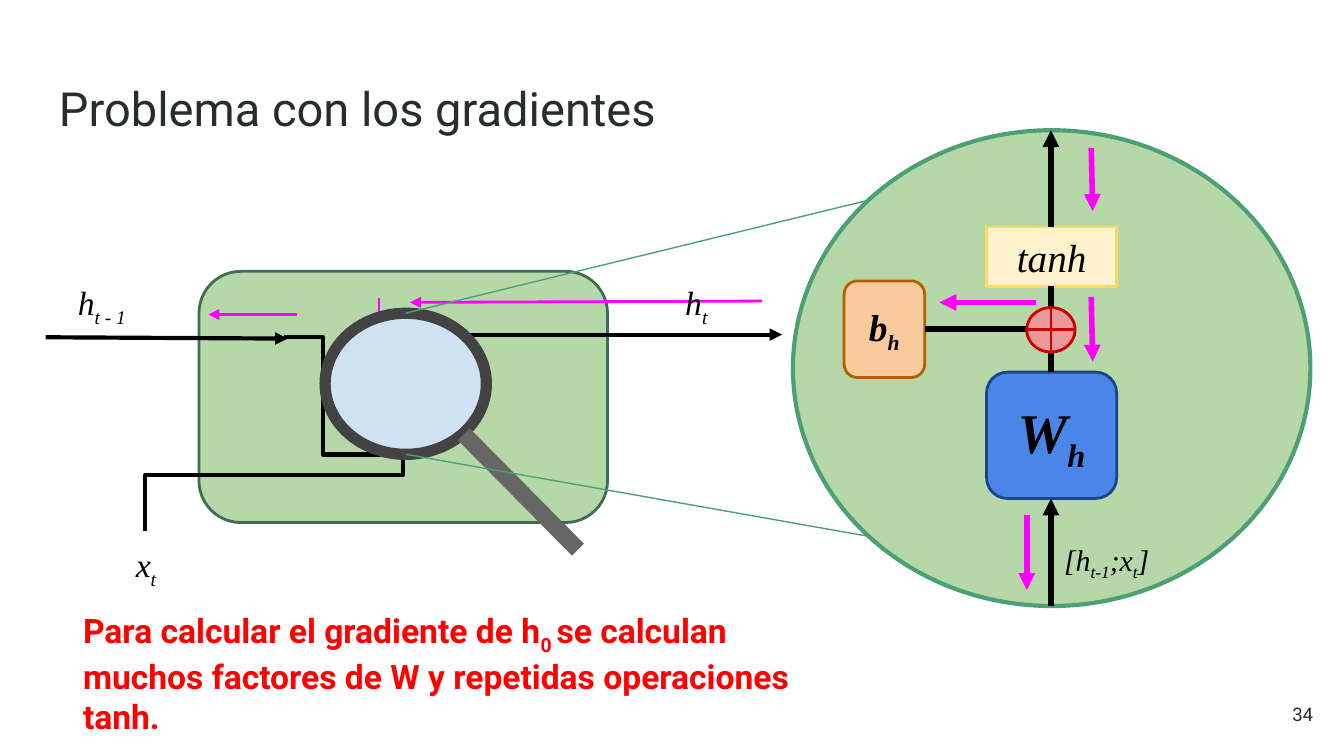
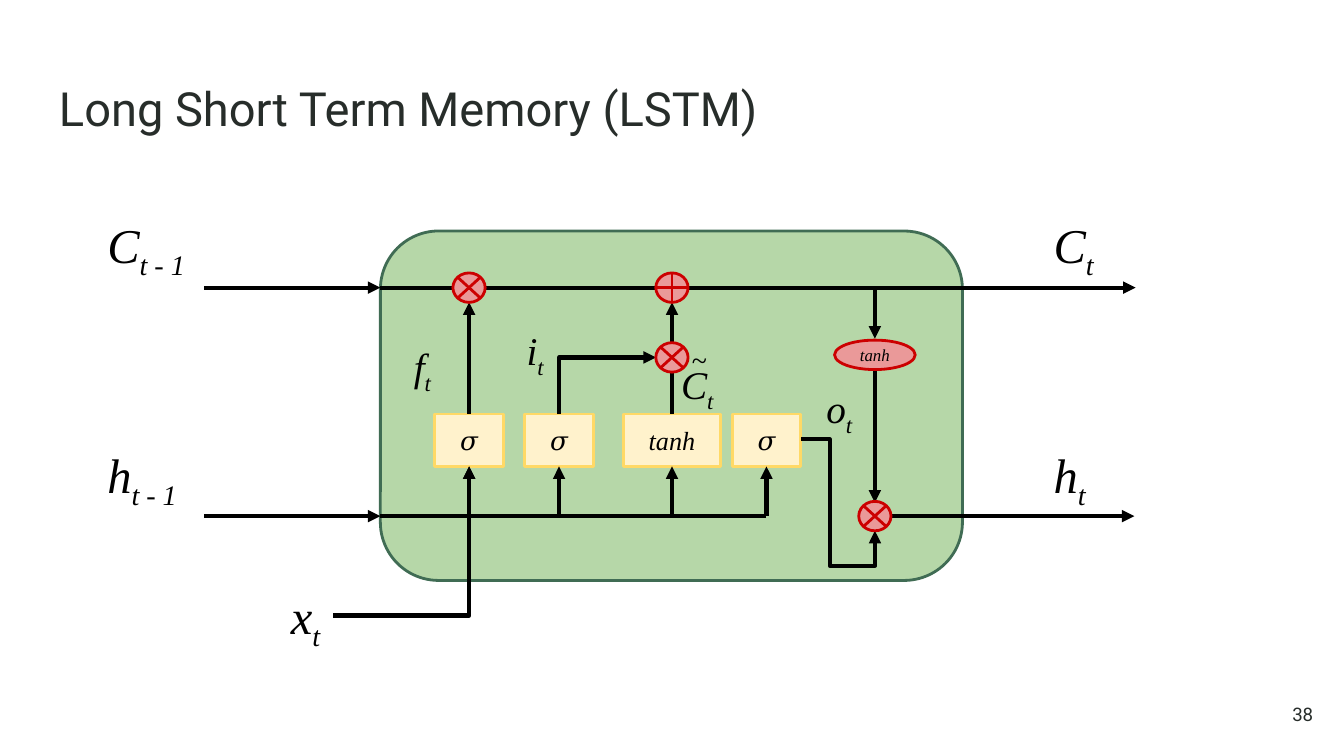
from lxml.etree import SubElement
from pptx import Presentation
from pptx.dml.color import RGBColor
from pptx.enum.shapes import MSO_CONNECTOR as Link, MSO_SHAPE as Form
from pptx.enum.text import MSO_ANCHOR as Anchor, PP_ALIGN as Align
from pptx.oxml.ns import qn
from pptx.util import Pt

# Colours
BLACK = RGBColor(0x00, 0x00, 0x00)
INK = RGBColor(0x27, 0x2D, 0x2A)
RED = RGBColor(0xFF, 0x00, 0x00)
MAGENTA = RGBColor(0xFF, 0x00, 0xFF)
CELL_FILL = RGBColor(0xB6, 0xD7, 0xA8)
CELL_LINE = RGBColor(0x40, 0x6C, 0x54)
ZOOM_LINE = RGBColor(0x4B, 0xA1, 0x73)
GATE_FILL = RGBColor(0xFF, 0xF2, 0xCC)
GATE_LINE = RGBColor(0xFF, 0xD9, 0x66)
NODE_FILL = RGBColor(0xEA, 0x99, 0x99)
NODE_LINE = RGBColor(0xCC, 0x00, 0x00)
WEIGHT_FILL = RGBColor(0x4A, 0x86, 0xE8)
WEIGHT_LINE = RGBColor(0x1C, 0x45, 0x87)
BIAS_FILL = RGBColor(0xF9, 0xCB, 0x9C)
BIAS_LINE = RGBColor(0xB4, 0x5F, 0x06)
LENS_FILL = RGBColor(0xCF, 0xE2, 0xF3)
LENS_LINE = RGBColor(0x43, 0x43, 0x43)
HANDLE = RGBColor(0x66, 0x66, 0x66)

SANS, SERIF = "Roboto", "Times New Roman"
INSET = 7.2


# Text
def write(shape, text, *, size, font=SERIF, color=BLACK, bold=False,
          italic=True, align=Align.LEFT, anchor=Anchor.TOP, wrap=True):
    """Fill a shape with text; parts between underscores are subscripts."""
    frame = shape.text_frame
    frame.word_wrap = wrap
    frame.vertical_anchor = anchor
    frame.margin_left = frame.margin_right = Pt(INSET)
    frame.margin_top = frame.margin_bottom = Pt(INSET)
    para = frame.paragraphs[0]
    para.alignment = align
    for index, part in enumerate(text.split("_")):
        if not part:
            continue
        span = para.add_run()
        span.text = part
        span.font.name = font
        span.font.size = Pt(size)
        span.font.bold = bold
        span.font.italic = italic
        span.font.color.rgb = color
        if index % 2:
            span.font._element.set("baseline", "-25000")


def label(page, area, text, **style):
    box = page.shapes.add_textbox(*map(Pt, area))
    write(box, text, **style)


# Shapes
def block(page, form, area, fill, line, width=1.5, text=None, **style):
    shape = page.shapes.add_shape(form, *map(Pt, area))
    shape.shadow.inherit = False
    shape.fill.solid()
    shape.fill.fore_color.rgb = fill
    shape.line.color.rgb = line
    shape.line.width = Pt(width)
    if text:
        write(shape, text, **{"align": Align.CENTER, "anchor": Anchor.MIDDLE, **style})


def gate(page, area, text, size):
    block(page, Form.RECTANGLE, area, GATE_FILL, GATE_LINE, text=text, size=size)


def node(page, form, center, width=17.3, height=15.8, **text):
    x, y = center
    block(page, form, (x - width / 2, y - height / 2, width, height),
          NODE_FILL, NODE_LINE, **text)


def cell(page, area):
    block(page, Form.ROUNDED_RECTANGLE, area, CELL_FILL, CELL_LINE)


# Connectors
def connect(page, start, end, color=BLACK, width=2.25, arrow=True, kind=Link.STRAIGHT):
    link = page.shapes.add_connector(kind, *map(Pt, (*start, *end)))
    link.line.color.rgb = color
    link.line.width = Pt(width)
    if arrow:
        SubElement(link.line._get_or_add_ln(), qn("a:tailEnd"), type="triangle")
    SubElement(link.element.spPr, qn("a:effectLst"))
    return link


def elbow(page, start, end, bends=(), rising=False):
    """Bent arrow; rising ones leave upwards and then turn right."""
    if rising:
        (x1, y1), (x2, y2) = start, end
        mid_x, mid_y = (x1 + x2) / 2, (y1 + y2) / 2
        half_w, half_h = abs(y2 - y1) / 2, abs(x2 - x1) / 2
        start = mid_x - half_w, mid_y - half_h
        end = mid_x + half_w, mid_y + half_h
    link = connect(page, start, end, kind=Link.ELBOW)
    properties = link.element.spPr
    if rising:
        properties.find(qn("a:xfrm")).set("rot", str(270 * 60000))
    geometry = properties.find(qn("a:prstGeom"))
    geometry.set("prst", f"bentConnector{len(bends) + 2}")
    guides = geometry.find(qn("a:avLst"))
    if guides is None:
        guides = SubElement(geometry, qn("a:avLst"))
    for number, bend in enumerate(bends, 1):
        SubElement(guides, qn("a:gd"), name=f"adj{number}" if len(bends) > 1 else "adj1",
                   fmla=f"val {round(bend * 100000)}")


# Shared page furniture
def new_page(deck, title, number):
    page = deck.slides.add_slide(deck.slide_layouts[6])
    style = {"font": SANS, "color": INK, "italic": False}
    label(page, (24.5, 35.3, 671, 45.4), title, size=25.2, **style)
    label(page, (667.4, 367.2, 43.2, 31), number, size=10,
          align=Align.RIGHT, anchor=Anchor.MIDDLE, **style)
    return page


def gradient_page(deck):
    page = new_page(deck, "Problema con los gradientes", "34")

    # Recurrent cell with its inputs and output
    cell(page, (106.6, 145.4, 218.9, 134.6))
    connect(page, (24.5, 180.7), (154.1, 181.4))
    label(page, (34.6, 144, 56.9, 35.3), "h_t - 1", size=18)
    label(page, (64.8, 284.4, 25.9, 31), "x_t", size=18, align=Align.RIGHT)
    elbow(page, (77.8, 284.4), (216, 224.6), (0.5,), rising=True)
    elbow(page, (151.9, 180.7), (216, 224.6), (0.33, 1.43))
    elbow(page, (216, 199.4), (419, 179.3), (0.002,))

    # Gradient flow through the cell
    for start, end in (((408.2, 161.3), (219.6, 162)),
                       ((203, 159.8), (203, 191.5)),
                       ((159.1, 168.5), (111.6, 168.5))):
        connect(page, start, end, MAGENTA, 1.5)

    # Magnifying glass and zoomed circle
    block(page, Form.OVAL, (174.2, 167.8, 86.4, 75.6), LENS_FILL, LENS_LINE, 6)
    connect(page, (248.4, 232.6), (309.6, 294.5), HANDLE, 9, arrow=False)
    for lens_y, circle_y in ((167.8, 107.3), (243.4, 287.3)):
        connect(page, (217.4, lens_y), (465.1, circle_y), ZOOM_LINE, 0.75, arrow=False)
    block(page, Form.OVAL, (424.8, 69.8, 277.2, 254.9), CELL_FILL, ZOOM_LINE, 2.25)
    label(page, (360, 144, 44.6, 35.3), "h_t", size=18)

    # Operations inside the circle
    axis = 563
    block(page, Form.ROUNDED_RECTANGLE, (528.5, 199.4, 69.8, 67.7),
          WEIGHT_FILL, WEIGHT_LINE, text="W_h", size=30, bold=True)
    gate(page, (528.5, 121.7, 69.8, 31.7), "tanh", 21)
    for bottom, top, arrow in ((324.7, 267.1, True), (199.4, 153.4, False),
                               (121.7, 69.8, True)):
        connect(page, (axis, bottom), (axis, top), width=3, arrow=arrow)
    label(page, (axis, 283, 64.8, 33.8), "[h_t-1_;x_t_]", size=16)
    block(page, Form.ROUNDED_RECTANGLE, (452.2, 150.5, 43.2, 51.8),
          BIAS_FILL, BIAS_LINE, text="b_h", size=20, bold=True)
    connect(page, (495.4, 176.4), (550.1, 176.4), width=3, arrow=False)
    node(page, Form.FLOWCHART_OR, (axis, 176.7), 25.9, 23.8)

    # Gradient flow inside the circle
    for start, end in (((584.6, 79.2), (585.4, 113)),
                       ((584.6, 159.1), (585.4, 193.7)),
                       ((555.1, 162), (503.3, 162)),
                       ((550.1, 275.8), (550.1, 316.1))):
        connect(page, start, end, MAGENTA, 3)

    label(page, (37.4, 319.7, 395.3, 79.9),
          "Para calcular el gradiente de h_0 _se calculan muchos factores de W "
          "y repetidas operaciones tanh.",
          size=18, font=SANS, color=RED, bold=True, italic=False)


def lstm_page(deck):
    page = new_page(deck, "Long Short Term Memory (LSTM)", "38")
    cell_left, state_y, hidden_y = 203.8, 154.1, 276.5
    gate_top, gate_height = 221.8, 28.1
    gate_bottom = gate_top + gate_height
    forget_x, input_x, candidate_x, output_x, exit_x = 251.3, 299.5, 360, 410.6, 468.7
    cell(page, (cell_left, 123.8, 311.8, 187.2))

    # Inputs and outputs
    for name, top in (("C", 108), ("h", 231.1)):
        label(page, (50.4, top, 74.2, 46.1), f"{name}_t - 1", size=26)
        label(page, (557.3, top, 36.7, 46.1), f"{name}_t", size=26)
    label(page, (135.4, 306.7, 43.2, 46.1), "x_t", size=26, align=Align.RIGHT)

    # State and hidden lines
    for y in (state_y, hidden_y):
        connect(page, (109.4, y), (cell_left, y))
    connect(page, (cell_left, state_y), (608.4, state_y))
    connect(page, (cell_left, hidden_y), (output_x, hidden_y), arrow=False)
    connect(page, (exit_x + 9, hidden_y), (607.7, hidden_y))

    # Gates, each fed from the hidden line
    for x, width, name in ((forget_x, 36.7, "𝜎"), (input_x, 36.7, "𝜎"),
                           (candidate_x, 51.8, "tanh"), (output_x, 36.7, "𝜎")):
        gate(page, (x - width / 2, gate_top, width, gate_height), name, 14)
        connect(page, (x, hidden_y), (x, gate_bottom))

    # Paths between gates and nodes
    for x in (forget_x, candidate_x):
        connect(page, (x, gate_top), (x, state_y + 7.9))
    elbow(page, (178.6, 329.8), (forget_x, gate_bottom))
    elbow(page, (input_x, gate_top), (351.4, 191.5), rising=True)
    connect(page, (exit_x, state_y), (exit_x, 181.4))
    connect(page, (exit_x, 198), (exit_x, 269.3))
    elbow(page, (429.1, 235.4), (exit_x, 284.4), (0.39, 1.38))

    # Pointwise nodes
    for center in ((forget_x, state_y), (candidate_x, 191.5), (exit_x, hidden_y)):
        node(page, Form.FLOWCHART_SUMMING_JUNCTION, center)
    node(page, Form.FLOWCHART_OR, (candidate_x, state_y))
    node(page, Form.OVAL, (exit_x, 190.1), 43.2, 15.8, text="tanh", size=9, wrap=False)

    # Names of the gate signals
    for name, left, top in (("f", 214.6, 176.4), ("i", 275, 167.8),
                            ("C", 357.8, 185.8), ("o", 435.6, 198.7)):
        label(page, (left, top, 36.7, 40.3), f"{name}_t", size=21)
    label(page, (363.6, 176.4, 20.2, 32.4), "~", size=15, italic=False, wrap=False)


def main():
    deck = Presentation()
    deck.slide_width, deck.slide_height = Pt(720), Pt(405)
    gradient_page(deck)
    lstm_page(deck)
    deck.save("out.pptx")


if __name__ == "__main__":
    main()
